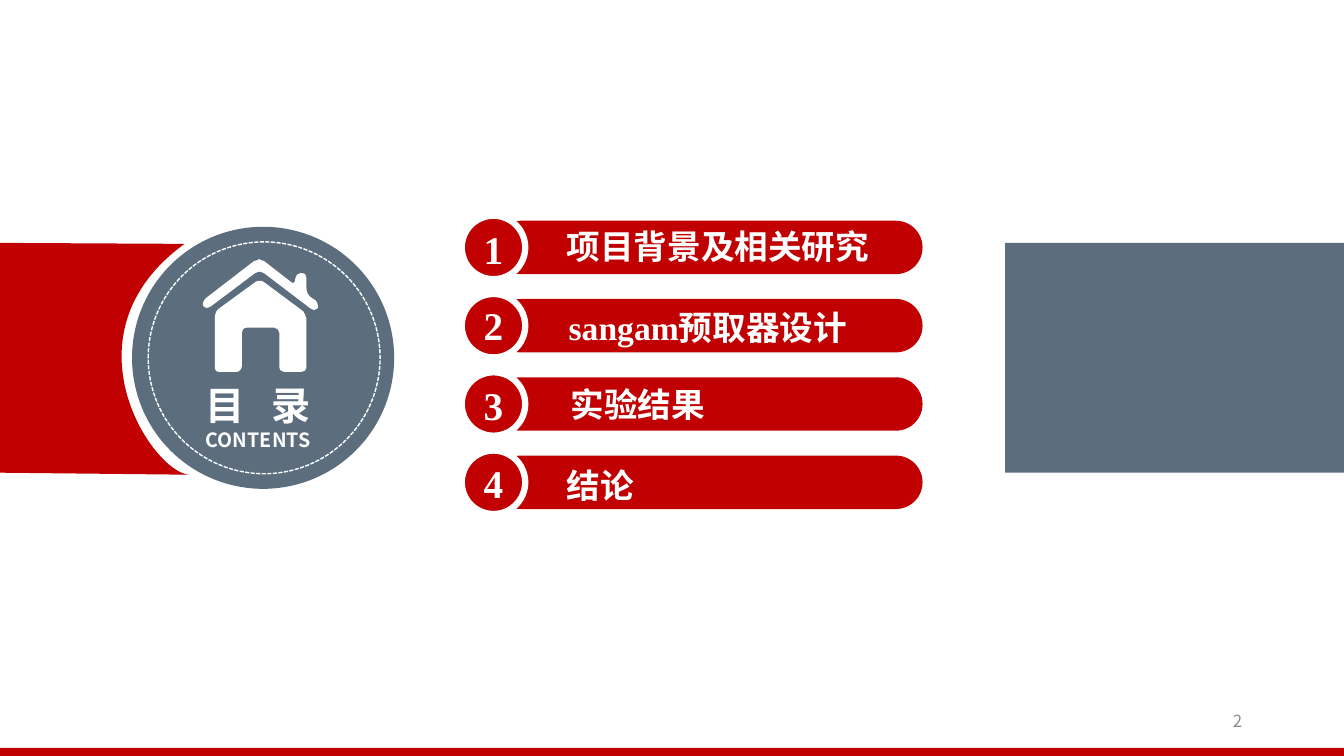
from pptx import Presentation
from pptx.dml.color import RGBColor
from pptx.enum.dml import MSO_LINE
from pptx.enum.shapes import MSO_SHAPE
from pptx.enum.text import MSO_ANCHOR, MSO_AUTO_SIZE, PP_ALIGN
from pptx.oxml.ns import qn
from pptx.util import Inches, Pt

RED = RGBColor(0xC1, 0x00, 0x01)
FOOTER_RED = RGBColor(0xC0, 0x00, 0x00)
SLATE = RGBColor(0x5C, 0x6D, 0x7D)
WHITE = RGBColor(0xFF, 0xFF, 0xFF)
GRAY = RGBColor(0x8C, 0x8C, 0x8C)
SANS = "Noto Sans CJK SC"
SERIF = "Times New Roman"

# Number, its vertical centre, label, label left, label vertical centre
ITEMS = [
    ("1", 2.47, "项目背景及相关研究", 5.62, 2.44),
    ("2", 3.22, "sangam预取器设计", 5.64, 3.24),
    ("3", 4.02, "实验结果", 5.66, 4.01),
    ("4", 4.79, "结论", 5.62, 4.81),
]
FIRST_TOP, LAST_TOP = 2.14, 4.47
ITEM_PITCH = (LAST_TOP - FIRST_TOP) / (len(ITEMS) - 1)

# Outlines in inches: a pair is a corner, six numbers are a Bezier curve
BAND = [(0, 2.41), (1.83, 2.42), (0.59, 3.32, 1.52, 4.7, 1.88, 4.71), (0, 4.69)]
HOUSE = [
    (2.62, 2.8), (2.6, 2.78, 2.55, 2.78, 2.53, 2.8), (2.16, 3.07),
    (2.14, 3.09, 2.13, 3.13, 2.13, 3.17), (2.13, 3.63),
    (2.13, 3.67, 2.14, 3.69, 2.18, 3.69), (2.35, 3.69),
    (2.36, 3.69, 2.4, 3.67, 2.4, 3.63), (2.4, 3.3),
    (2.4, 3.28, 2.41, 3.25, 2.45, 3.25), (2.72, 3.25),
    (2.75, 3.25, 2.77, 3.28, 2.77, 3.3), (2.77, 3.63),
    (2.77, 3.67, 2.79, 3.69, 2.82, 3.69), (2.99, 3.69),
    (3.02, 3.69, 3.04, 3.67, 3.04, 3.63), (3.04, 3.17),
    (3.04, 3.15, 3.02, 3.11, 3.01, 3.09),
]
ROOF = [
    (3.1, 2.96), (3.06, 2.94, 3.04, 2.9, 3.04, 2.86), (3.04, 2.76),
    (3.04, 2.73, 3.03, 2.71, 2.99, 2.71), (2.98, 2.71),
    (2.96, 2.71, 2.93, 2.73, 2.93, 2.76),
    (2.93, 2.8, 2.91, 2.82, 2.89, 2.8), (2.62, 2.59),
    (2.6, 2.59, 2.57, 2.57, 2.57, 2.57), (2.57, 2.57, 2.55, 2.59, 2.52, 2.59),
    (2.04, 2.96), (2.02, 2.98, 2, 3.02, 2.02, 3.04),
    (2.04, 3.06, 2.05, 3.06, 2.09, 3.04), (2.53, 2.71),
    (2.55, 2.69, 2.58, 2.69, 2.62, 2.71), (3.08, 3.06),
    (3.1, 3.08, 3.13, 3.08, 3.15, 3.06), (3.16, 3.04, 3.15, 3, 3.13, 2.98),
]


def style(sp, fill=None, line=None, width=1):
    sp.shadow.inherit = False
    if fill is None:
        sp.fill.background()
    else:
        sp.fill.solid()
        sp.fill.fore_color.rgb = fill
    if line is None:
        sp.line.fill.background()
    else:
        sp.line.color.rgb = line
        sp.line.width = Pt(width)
    return sp


def add_preset(shapes, kind, x, y, w, h, **look):
    return style(shapes.add_shape(kind, Inches(x), Inches(y), Inches(w), Inches(h)), **look)


def add_outline(shapes, outline, fill):
    parts = [[Inches(v) for v in part] for part in outline]
    ends = [part[-2:] for part in parts]
    builder = shapes.build_freeform(*ends[0])
    builder.add_line_segments(ends[1:], close=True)
    sp = builder.convert_to_shape()
    left, top = (min(values) for values in zip(*ends))

    # Turn the segments that have control points into curves
    segments = list(sp._element.iter(qn("a:lnTo")))
    for part, segment in zip(parts[1:], segments):
        if len(part) == 6:
            curve = segment.makeelement(qn("a:cubicBezTo"), {})
            for x, y in zip(part[::2], part[1::2]):
                point = {"x": str(x - left), "y": str(y - top)}
                curve.append(curve.makeelement(qn("a:pt"), point))
            segment.getparent().replace(segment, curve)
    return style(sp, fill=fill)


def format_frame(tf):
    tf.word_wrap = True
    tf.auto_size = MSO_AUTO_SIZE.NONE
    tf.vertical_anchor = MSO_ANCHOR.MIDDLE
    tf.margin_left = tf.margin_right = tf.margin_top = tf.margin_bottom = 0


def format_text(p, size, font, color=WHITE, bold=True, align=PP_ALIGN.LEFT):
    p.alignment = align
    for r in p.runs:
        r.font.size, r.font.name, r.font.bold = Pt(size), font, bold
        r.font.color.rgb = color
        ea = r._r.get_or_add_rPr().makeelement(qn("a:ea"), {"typeface": SANS})
        r.font._element.find(qn("a:latin")).addnext(ea)


def add_text(shapes, text, x, middle, w, h, size, font, **look):
    box = shapes.add_textbox(Inches(x), Inches(middle - h / 2), Inches(w), Inches(h))
    tf = box.text_frame
    format_frame(tf)
    tf.text = text
    format_text(tf.paragraphs[0], size, font, **look)


def add_item(s, index, number, number_mid, label, label_left, label_mid):
    shapes = s.shapes.add_group_shape().shapes
    top = FIRST_TOP + index * ITEM_PITCH
    bar = add_preset(shapes, MSO_SHAPE.ROUNDED_RECTANGLE, 4.9, top + 0.05, 4.25, 0.53, fill=RED)
    bar.adjustments[0] = 0.5
    add_preset(shapes, MSO_SHAPE.OVAL, 4.58, top, 0.63, 0.63, fill=RED, line=WHITE, width=4.5)
    add_text(shapes, number, 4.58, number_mid, 0.63, 0.45, 28, SERIF, align=PP_ALIGN.CENTER)
    add_text(shapes, label, label_left, label_mid, 3.4, 0.5, 24, SERIF)


def add_title(s):
    title = s.shapes.title
    s.shapes._spTree.append(title._element)  # bring in front of the disc
    title.left, title.top = Inches(2.04), Inches(3.71)
    title.width, title.height = Inches(1.3), Inches(0.84)
    tf = title.text_frame
    format_frame(tf)
    tf.text = "目 录\nCONTENTS"
    for p, size in zip(tf.paragraphs, (28, 14)):
        format_text(p, size, SANS)
    # Letter spacing sets the two characters apart
    tf.paragraphs[0].runs[0]._r.get_or_add_rPr().set("spc", "640")


def main():
    prs = Presentation()
    prs.slide_width, prs.slide_height = Inches(13.33), Inches(7.5)
    s = prs.slides.add_slide(prs.slide_layouts[5])

    # Footer strip and left band
    add_preset(s.shapes, MSO_SHAPE.RECTANGLE, 0, 7.42, 13.36, 0.09, fill=FOOTER_RED)
    add_outline(s.shapes, BAND, RED)

    # Title disc with house icon
    add_preset(s.shapes, MSO_SHAPE.OVAL, 1.31, 2.25, 2.6, 2.6, fill=SLATE)
    icon = s.shapes.add_group_shape()
    for outline in (HOUSE, ROOF):
        add_outline(icon.shapes, outline, WHITE)
    add_title(s)
    ring = add_preset(s.shapes, MSO_SHAPE.OVAL, 1.47, 2.4, 2.3, 2.3, line=WHITE)
    ring.line.dash_style = MSO_LINE.SQUARE_DOT

    # Contents list
    for index, item in enumerate(ITEMS):
        add_item(s, index, *item)

    # Right block and page number
    add_preset(s.shapes, MSO_SHAPE.RECTANGLE, 9.97, 2.41, 3.36, 2.28, fill=SLATE)
    add_text(s.shapes, "2", 9.42, 7.15, 2.9, 0.4, 12, SANS,
             color=GRAY, bold=False, align=PP_ALIGN.RIGHT)
    prs.save("out.pptx")


if __name__ == "__main__":
    main()
